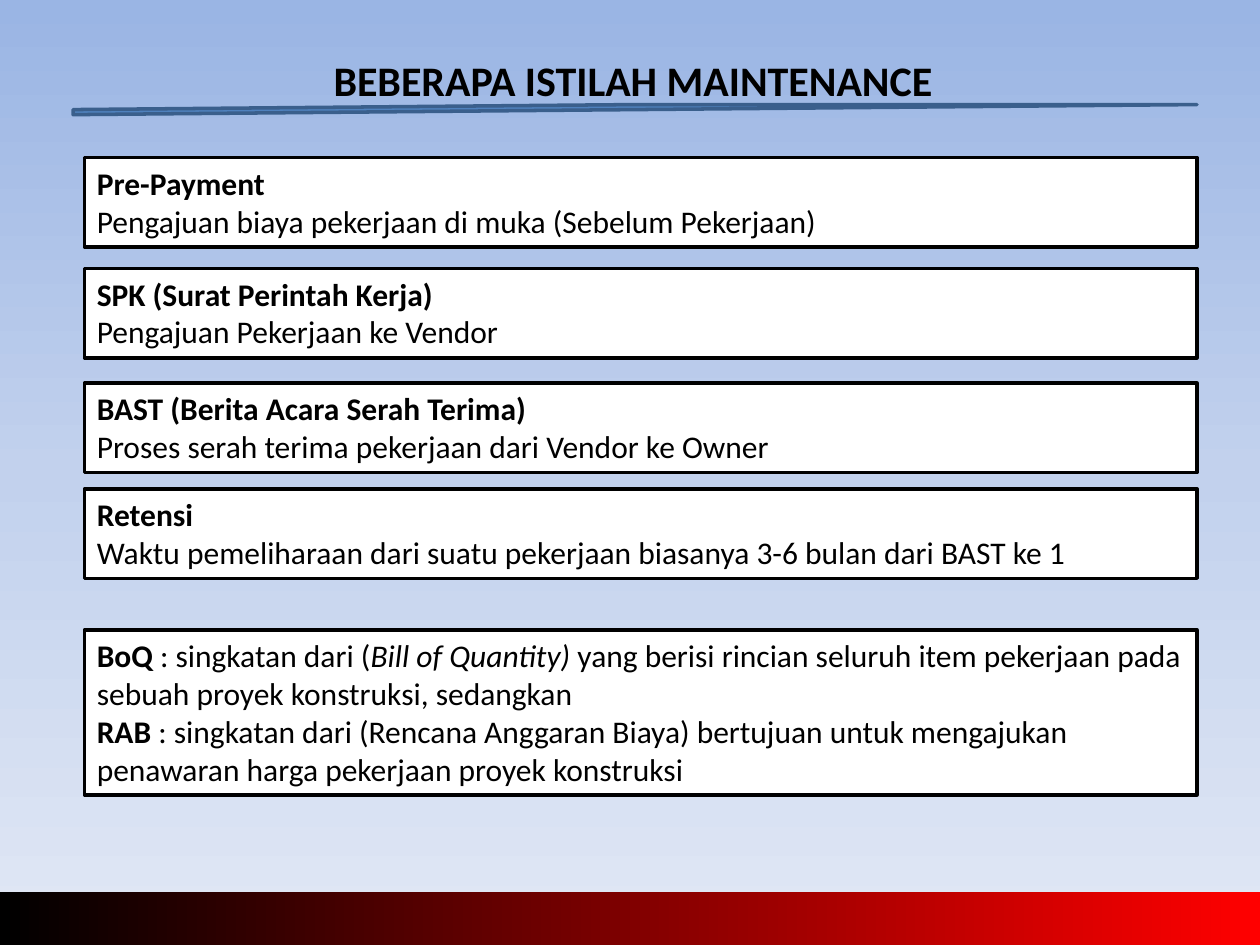
from copy import deepcopy
from dataclasses import dataclass

from pptx import Presentation
from pptx.dml.color import RGBColor
from pptx.enum.shapes import MSO_SHAPE as Preset
from pptx.enum.text import MSO_ANCHOR as Anchor, MSO_AUTO_SIZE as AutoSize, PP_ALIGN as Align
from pptx.oxml.ns import qn
from pptx.util import Inches, Pt

COLORS = {
    "text": "000000", "box": "FFFFFF", "border": "000000",
    "stripe": "4F81BD", "stripe_line": "3A5F8C",
    "sky_top": "9AB5E4", "sky_middle": "C2D1ED", "sky_bottom": "E1E8F5",
    "bar_start": "000000", "bar_end": "FF0000",
}
FONT = "Calibri"
BOX_LEFT, BOX_WIDTH = 0.67, 8.83


@dataclass
class Span:
    text: str
    bold: bool = False
    italic: bool = False


@dataclass
class TermBox:
    top: float
    height: float
    paragraphs: list[list[Span]]


def term(top: float, name: str, meaning: str) -> TermBox:
    return TermBox(top, 0.71, [[Span(name, bold=True)], [Span(meaning)]])


BOXES = [
    term(1.25, "Pre-Payment", "Pengajuan biaya pekerjaan di muka (Sebelum Pekerjaan)"),
    term(2.13, "SPK (Surat Perintah Kerja)", "Pengajuan Pekerjaan ke Vendor"),
    term(3.04, "BAST (Berita Acara Serah Terima)",
         "Proses serah terima pekerjaan dari Vendor ke Owner"),
    term(3.88, "Retensi",
         "Waktu pemeliharaan dari suatu pekerjaan biasanya 3-6 bulan dari BAST ke 1"),
    TermBox(5, 1.31, [
        [Span("BoQ", bold=True), Span(" : singkatan dari\u00a0("),
         Span("Bill of Quantity)", italic=True),
         Span(" yang berisi rincian seluruh item pekerjaan pada sebuah proyek "
              "konstruksi, sedangkan\u00a0")],
        [Span("RAB ", bold=True),
         Span(": singkatan dari (Rencana Anggaran Biaya) bertujuan untuk mengajukan "
              "penawaran harga pekerjaan proyek konstruksi")],
    ]),
]


def rgb(name: str) -> RGBColor:
    return RGBColor.from_string(COLORS[name])


def format_run(run, size: float, bold: bool, italic: bool = False) -> None:
    font = run.font
    font.name, font.size, font.bold, font.italic = FONT, Pt(size), bold, italic
    font.color.rgb = rgb("text")


def fill_gradient(owner, fill, names: list[str], angle: int) -> None:
    """Spread the named colours evenly; the angle runs counter-clockwise."""
    fill.gradient()
    fill.gradient_angle = angle
    stop_list = next(owner.element.iter(qn("a:gsLst")))
    for _ in names[2:]:
        stop_list.append(deepcopy(stop_list[0]))
    for index, (stop, name) in enumerate(zip(fill.gradient_stops, names)):
        stop.position = index / (len(names) - 1)
        stop.color.rgb = rgb(name)


def add_preset(slide, preset, left: float, top: float, width: float, height: float,
               fill: str | None = None, line: str | None = None):
    shape = slide.shapes.add_shape(
        preset, Inches(left), Inches(top), Inches(width), Inches(height))
    shape.shadow.inherit = False
    if fill:
        shape.fill.solid()
        shape.fill.fore_color.rgb = rgb(fill)
    if line:
        shape.line.color.rgb = rgb(line)
        shape.line.width = Pt(2)
    else:
        shape.line.fill.background()
    return shape


def add_term_box(slide, box: TermBox) -> None:
    shape = add_preset(slide, Preset.RECTANGLE, BOX_LEFT, box.top, BOX_WIDTH, box.height,
                       "box", "border")
    frame = shape.text_frame
    frame.word_wrap = True
    frame.auto_size = AutoSize.SHAPE_TO_FIT_TEXT
    frame.vertical_anchor = Anchor.TOP
    for index, spans in enumerate(box.paragraphs):
        paragraph = frame.add_paragraph() if index else frame.paragraphs[0]
        paragraph.alignment = Align.LEFT
        for span in spans:
            run = paragraph.add_run()
            run.text = span.text
            format_run(run, 18, span.bold, span.italic)


presentation = Presentation()
presentation.slide_width, presentation.slide_height = Inches(10), Inches(7.5)
slide = presentation.slides.add_slide(presentation.slide_layouts[5])

# Background
fill_gradient(slide, slide.background.fill, ["sky_top", "sky_middle", "sky_bottom"], 270)

# Title
title = slide.shapes.title
title.left, title.top = Inches(0.55), Inches(0.25)
title.width, title.height = Inches(8.95), Inches(0.77)
title.text_frame.text = "BEBERAPA ISTILAH MAINTENANCE"
title.text_frame.vertical_anchor = Anchor.MIDDLE
title.text_frame.paragraphs[0].alignment = Align.CENTER
format_run(title.text_frame.paragraphs[0].runs[0], 24, bold=True)

# Bottom bar and title underline
bar = add_preset(slide, Preset.RECTANGLE, 0, 7.08, 10, 0.42)
fill_gradient(bar, bar.fill, ["bar_start", "bar_end"], 0)
add_preset(slide, Preset.DIAGONAL_STRIPE, 0.58, 0.83, 8.92, 0.08, "stripe", "stripe_line")

# Terms
for term_box in BOXES:
    add_term_box(slide, term_box)

presentation.save("out.pptx")
